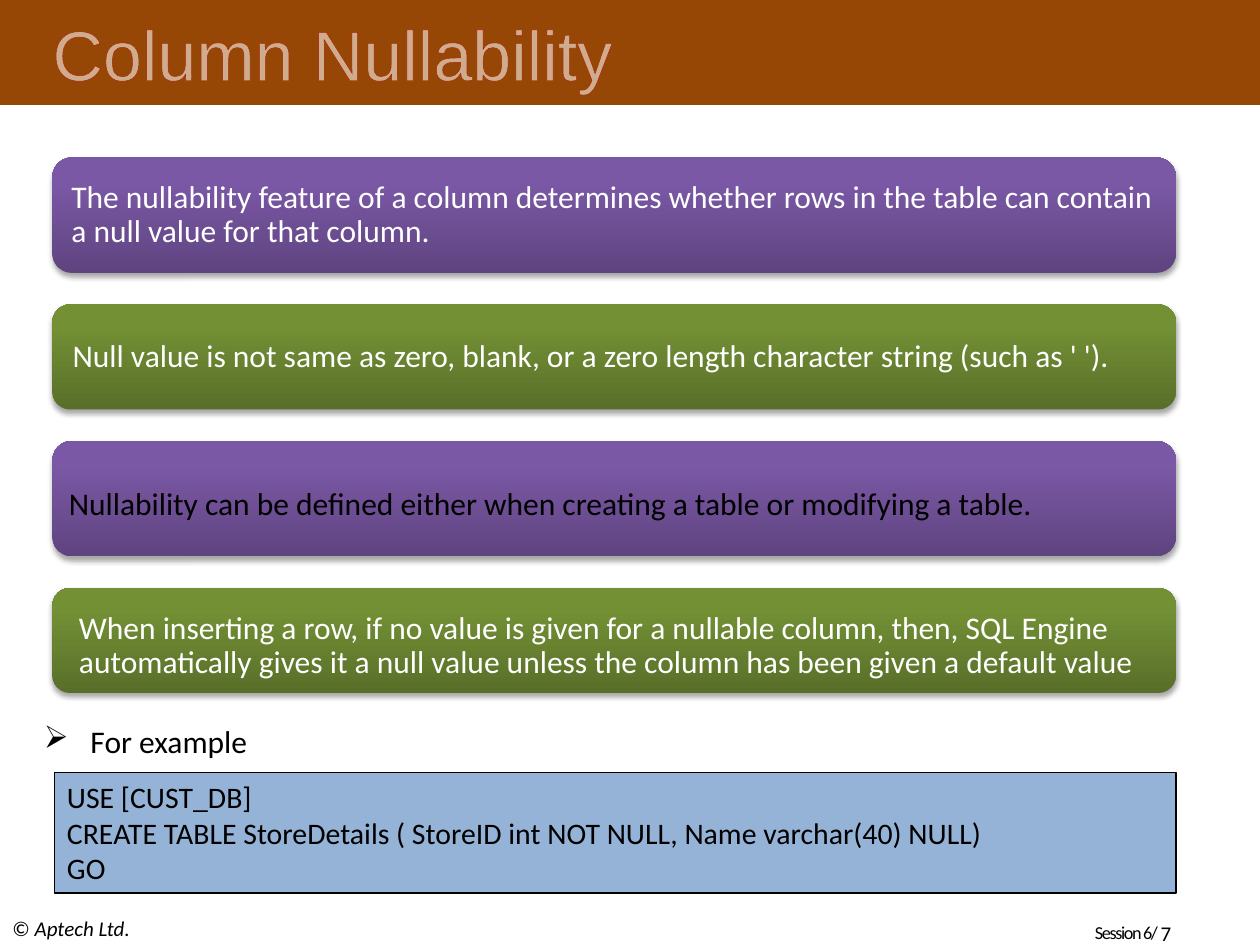
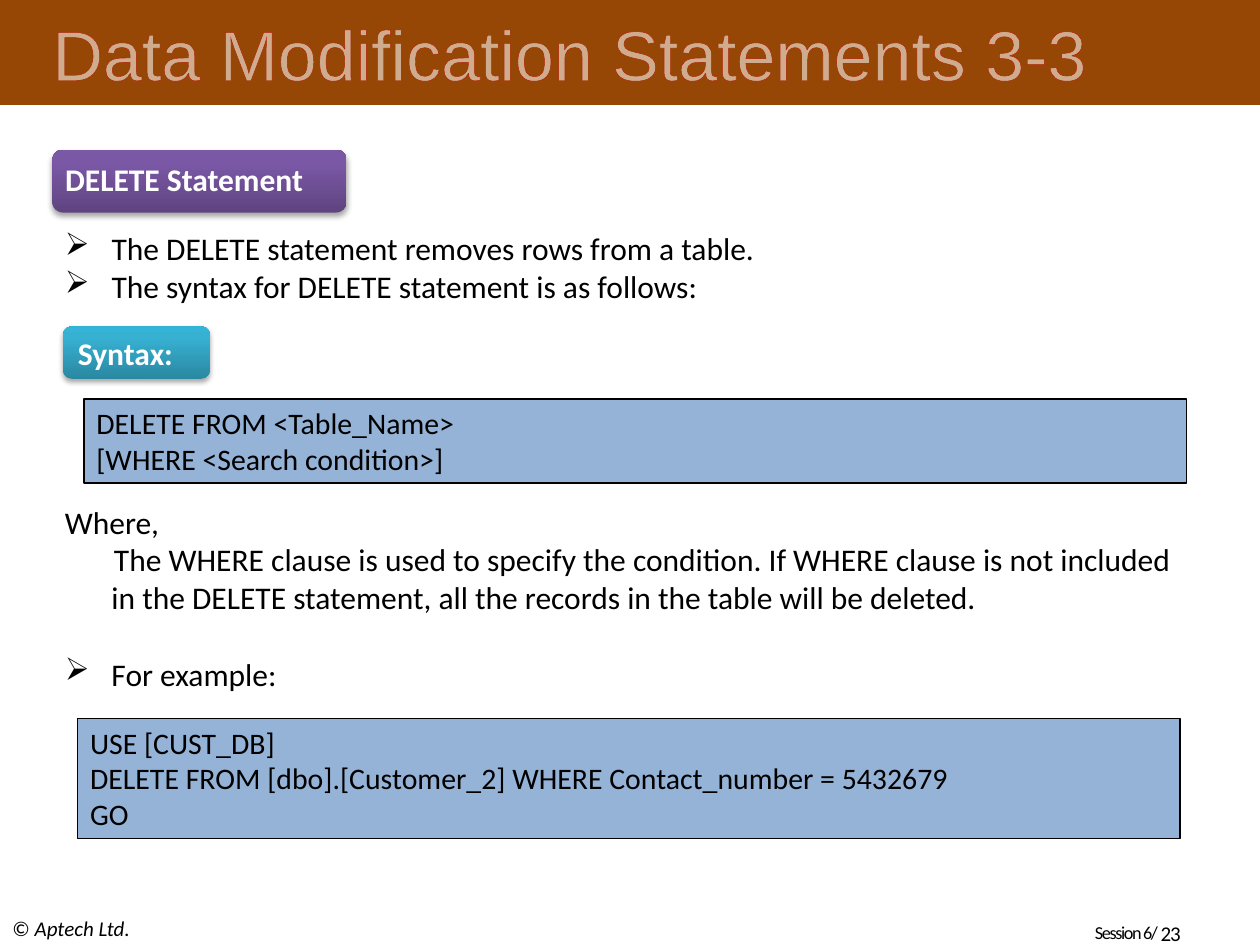
from dataclasses import dataclass

from lxml import etree
from pptx import Presentation
from pptx import util as u
from pptx.dml.color import RGBColor
from pptx.enum import shapes, text
from pptx.oxml import ns

COLUMNS, ROWS = 120, 90
SLIDE_WIDTH, SLIDE_HEIGHT = u.Inches(10), u.Inches(7.5)
TITLE_ONLY = 5
DRAWING = "http://schemas.openxmlformats.org/drawingml/2006/main"


@dataclass(frozen=True)
class Theme:
    band: str = "964705"
    white: str = "FFFFFF"
    black: str = "000000"
    code: str = "95B3D7"
    title_outline: str = "C00000"
    purple: tuple = ("5F4480", "7B58A6", "7C57A8")
    green: tuple = ("596F29", "739035", "749334")
    teal: tuple = ("2A88A2", "37B1D2", "34B4D6")
    title_size: int = 40
    body_size: int = 18
    code_size: int = 17
    footer_size: int = 12
    title_font: str = "Arial"
    body_font: str = "Calibri"


THEME = Theme()
INSET = 0.08
HANGING = 0.37
MARGINS = ("margin_left", "margin_top", "margin_right", "margin_bottom")


def place(box):
    """Turn left, top, width, height in grid units into slide lengths."""
    column, row = SLIDE_WIDTH / COLUMNS, SLIDE_HEIGHT / ROWS
    return [round(value * unit) for value, unit in zip(box, (column, row) * 2)]


def within(box, offset):
    """Place a box given relative to the top left corner of another."""
    left, top, width, height = offset
    return box[0] + left, box[1] + top, width, height


def set_values(target, values):
    for name, value in values.items():
        setattr(target, name, value)


def add_xml(parent, source):
    holder = etree.fromstring(f'<a:holder xmlns:a="{DRAWING}">{source}</a:holder>')
    for child in list(holder):
        parent.append(child)


def style_font(font, size, color=THEME.black, name=THEME.body_font, **values):
    set_values(font, dict(size=u.Pt(size), name=name, **values))
    font.color.rgb = RGBColor.from_string(color)


def set_frame(frame, anchor=text.MSO_ANCHOR.TOP, insets=None):
    set_values(frame, dict(word_wrap=True, vertical_anchor=anchor,
                           auto_size=text.MSO_AUTO_SIZE.NONE))
    if insets is not None:
        set_values(frame, {name: u.Inches(inset)
                           for name, inset in zip(MARGINS, insets)})


def write_lines(frame, lines, size, line_format=None, **font_values):
    for index, line in enumerate(lines):
        paragraph = frame.paragraphs[0] if index == 0 else frame.add_paragraph()
        set_values(paragraph, dict(alignment=text.PP_ALIGN.LEFT,
                                   **(line_format or {})))
        run = paragraph.add_run()
        run.text = line
        style_font(run.font, size, **font_values)


def indent(paragraph, first, bullet=False):
    """Set a hanging indent and, if asked, an arrow bullet."""
    properties = paragraph._p.get_or_add_pPr()
    properties.set("marL", str(u.Inches(HANGING)))
    properties.set("indent", str(u.Inches(first)))
    if bullet:
        add_xml(properties, '<a:buChar char="➢"/>')


def add_box(slide, box, kind):
    shape = slide.shapes.add_shape(kind, *place(box))
    shape.shadow.inherit = False
    shape.line.fill.background()
    return shape


def add_text_box(slide, box, **frame_values):
    frame = slide.shapes.add_textbox(*place(box)).text_frame
    set_frame(frame, **frame_values)
    return frame


def add_title(slide, title_text):
    band = add_box(slide, (0, 0, COLUMNS, 10), shapes.MSO_SHAPE.RECTANGLE)
    band.fill.solid()
    band.fill.fore_color.rgb = RGBColor.from_string(THEME.band)
    slide.shapes._spTree.insert(2, band._element)

    title = slide.shapes.title
    set_values(title, dict(zip(("left", "top", "width", "height"),
                               place((5, 1, 100, 8)))))
    set_frame(title.text_frame, insets=(0, 0, 0, 0))
    write_lines(title.text_frame, [title_text], THEME.title_size,
                color=THEME.white, name=THEME.title_font)
    properties = title.text_frame.paragraphs[0].runs[0]._r.get_or_add_rPr()
    add_xml(properties, f'<a:ln w="889"><a:solidFill><a:srgbClr val="{THEME.title_outline}">'
                        '<a:alpha val="55000"/></a:srgbClr></a:solidFill></a:ln>')
    properties.insert(0, properties[-1])


def add_footer(slide, number):
    frame = add_text_box(slide, (0, 86.76, 40, 3.24), anchor=text.MSO_ANCHOR.MIDDLE)
    for words, italic in (("© ", False), ("Aptech Ltd.", True)):
        run = frame.paragraphs[0].add_run()
        run.text = words
        style_font(run.font, THEME.footer_size, italic=italic)

    frame = add_text_box(slide, (104.16, 86.16, 11.64, 2.64), insets=(0.01, 0.04, 0, 0))
    session_runs = (("Session 6/ ", THEME.body_size, 5000, -80),
                    (str(number), THEME.footer_size, 0, -70))
    for words, size, baseline, spacing in session_runs:
        run = frame.paragraphs[0].add_run()
        run.text = words
        style_font(run.font, size)
        properties = run._r.get_or_add_rPr()
        properties.set("baseline", str(baseline))
        properties.set("spc", str(spacing))


def add_card(slide, box, shades):
    """Add a rounded card, shaded from bottom to top, with a soft shadow."""
    card = add_box(slide, box, shapes.MSO_SHAPE.ROUNDED_RECTANGLE)
    properties = card._element.spPr
    for tag in ("a:ln", "a:effectLst"):
        properties.remove(properties.find(ns.qn(tag)))
    stops = "".join(f'<a:gs pos="{position}"><a:srgbClr val="{shade}"/></a:gs>'
                    for position, shade in zip((0, 80000, 100000), shades))
    add_xml(properties, f'<a:gradFill><a:gsLst>{stops}</a:gsLst>'
                        '<a:lin ang="16200000" scaled="0"/></a:gradFill>'
                        '<a:ln><a:noFill/></a:ln>'
                        '<a:effectLst><a:outerShdw blurRad="40000" dist="23000" dir="5400000">'
                        '<a:srgbClr val="000000"><a:alpha val="35000"/></a:srgbClr>'
                        '</a:outerShdw></a:effectLst>')
    return card


def add_card_text(slide, box, words, **font_values):
    frame = add_text_box(slide, box, anchor=text.MSO_ANCHOR.MIDDLE, insets=(INSET,) * 4)
    write_lines(frame, [words], THEME.body_size, dict(line_spacing=0.9), **font_values)


def add_code(slide, box, lines):
    shape = add_box(slide, box, shapes.MSO_SHAPE.RECTANGLE)
    shape.fill.solid()
    shape.fill.fore_color.rgb = RGBColor.from_string(THEME.code)
    shape.line.color.rgb = RGBColor.from_string(THEME.black)
    shape.line.width = u.Pt(0.75)
    set_frame(shape.text_frame)
    write_lines(shape.text_frame, lines, THEME.code_size)


def add_bullets(slide, box, lines):
    frame = add_text_box(slide, box)
    write_lines(frame, lines, THEME.body_size)
    for paragraph in frame.paragraphs:
        indent(paragraph, -HANGING, bullet=True)


def add_where_notes(slide, box):
    frame = add_text_box(slide, box)
    write_lines(frame, [
        "Where,",
        "The WHERE clause is used to specify the condition. If WHERE clause is not "
        "included in the DELETE statement, all the records in the table will be deleted.",
        "For example:"], THEME.body_size)
    heading, condition, example = frame.paragraphs
    indent(heading, -HANGING)
    indent(condition, 0.02)
    example.space_before = u.Pt(22)
    indent(example, -HANGING, bullet=True)


def add_nullability_cards(slide, left, top, width, gap):
    cards = (
        (11, THEME.purple, THEME.white, (0.84, 0.5, 105.1, 10),
         "The nullability feature of a column determines whether rows in the table "
         "can contain a null value for that column."),
        (10, THEME.green, THEME.white, (0.96, 0, 105.1, 10),
         "Null value is not same as zero, blank, or a zero length character string "
         "(such as ' ')."),
        (11, THEME.purple, THEME.black, (0.6, 2.76, 103.2, 6.72),
         "Nullability can be defined either when creating a table or modifying a table."),
        (10, THEME.green, THEME.white, (1.56, 2.28, 106.2, 6.48),
         "When inserting a row, if no value is given for a nullable column, then, "
         "SQL Engine automatically gives it a null value unless the column has been "
         "given a default value"),
    )
    for height, shades, color, offset, words in cards:
        box = (left, top, width, height)
        add_card(slide, box, shades)
        add_card_text(slide, within(box, offset), words, color=color)
        top += height + gap


def add_slide(presentation, title_text, number):
    slide = presentation.slides.add_slide(presentation.slide_layouts[TITLE_ONLY])
    add_title(slide, title_text)
    add_footer(slide, number)
    return slide


def build_nullability(presentation):
    slide = add_slide(presentation, "Column Nullability", 7)
    add_nullability_cards(slide, left=5, top=15, width=107, gap=3)
    add_code(slide, (5.2, 73.56, 106.8, 11.5), [
        "USE [CUST_DB]",
        "CREATE TABLE StoreDetails ( StoreID int NOT NULL, Name varchar(40) NULL)",
        "GO"])
    add_bullets(slide, (3, 68.16, 35, 4.8), ["For example"])


def build_delete_statement(presentation):
    slide = add_slide(presentation, "Data Modification Statements 3-3", 23)
    heading = (5, 14.25, 28, 6)
    add_card(slide, heading, THEME.purple)
    add_card_text(slide, within(heading, (0.24, 0.3, 27.5, 5.4)), "DELETE Statement",
                  color=THEME.white, bold=True)
    add_bullets(slide, (5, 21.24, 110, 8.5), [
        "The DELETE statement removes rows from a table.",
        "The syntax for DELETE statement is as follows:"])
    syntax = add_card(slide, (6, 31.08, 14, 5), THEME.teal)
    set_frame(syntax.text_frame, anchor=text.MSO_ANCHOR.MIDDLE)
    write_lines(syntax.text_frame, ["Syntax:"], THEME.body_size,
                color=THEME.white, bold=True)
    add_code(slide, (8, 38, 105, 8), [
        "DELETE FROM <Table_Name>", "[WHERE <Search condition>]"])
    add_where_notes(slide, (5, 47.28, 108, 19.44))
    add_code(slide, (7.4, 68.4, 105, 11.5), [
        "USE [CUST_DB]",
        "DELETE FROM [dbo].[Customer_2] WHERE Contact_number = 5432679",
        "GO"])


def main():
    presentation = Presentation()
    set_values(presentation, dict(slide_width=SLIDE_WIDTH, slide_height=SLIDE_HEIGHT))
    build_nullability(presentation)
    build_delete_statement(presentation)
    presentation.save("out.pptx")


if __name__ == "__main__":
    main()
